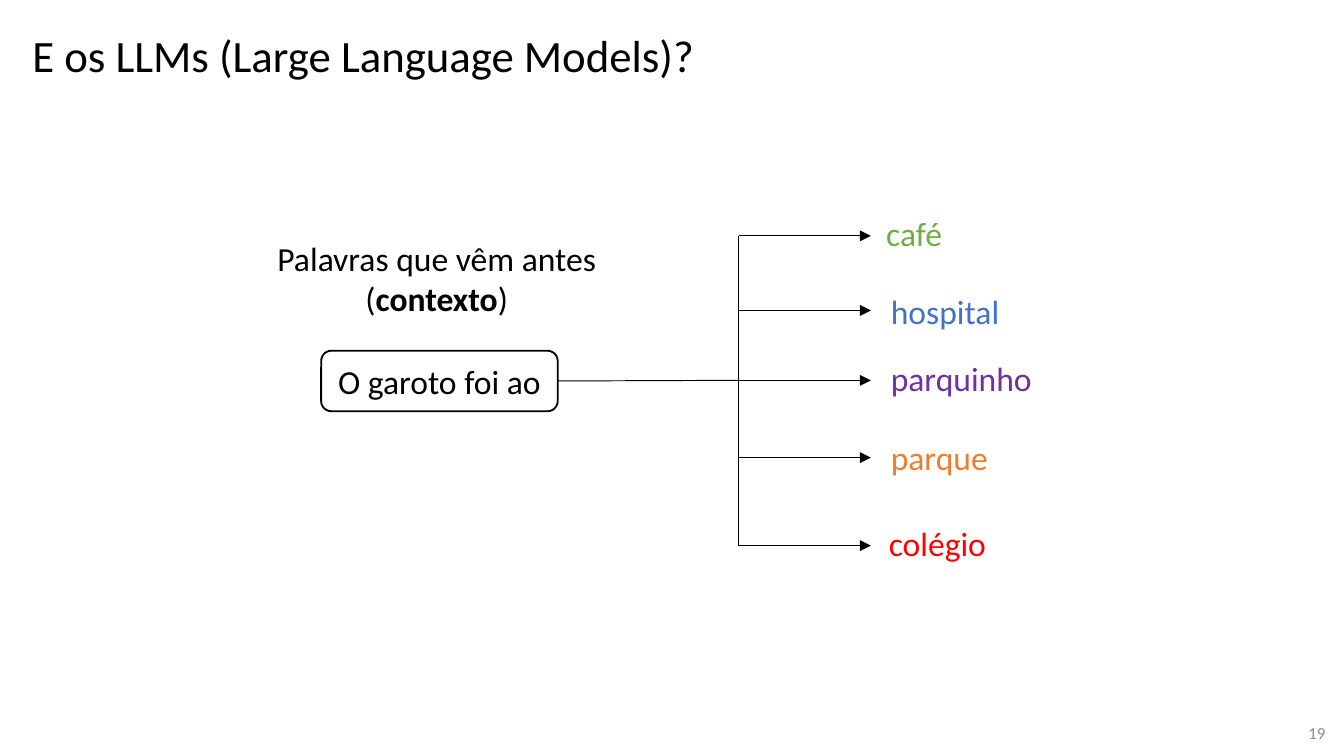
from lxml import etree
from pptx import Presentation
from pptx.dml.color import RGBColor
from pptx.enum.shapes import MSO_CONNECTOR as CONNECTOR, MSO_SHAPE as SHAPE
from pptx.enum.text import MSO_ANCHOR as ANCHOR, PP_ALIGN as ALIGN
from pptx.oxml.ns import qn
from pptx.util import Inches, Pt

BLACK = RGBColor(0x00, 0x00, 0x00)
WHITE = RGBColor(0xFF, 0xFF, 0xFF)
GRAY = RGBColor(0x8C, 0x8C, 0x8C)
GREEN = RGBColor(0x70, 0xAD, 0x47)
BLUE = RGBColor(0x44, 0x72, 0xC4)
PURPLE = RGBColor(0x70, 0x30, 0xA0)
ORANGE = RGBColor(0xED, 0x7D, 0x31)
RED = RGBColor(0xFF, 0x00, 0x00)

presentation = Presentation()
presentation.slide_width = Inches(10)
presentation.slide_height = presentation.slide_width * 9 // 16
slide = presentation.slides.add_slide(presentation.slide_layouts[5])
COLUMN = ROW = presentation.slide_width // 100


def write(shape, text, size=18, color=BLACK, align=ALIGN.LEFT, wrap=False):
    frame = shape.text_frame
    frame.text = text
    frame.word_wrap = wrap
    for paragraph in frame.paragraphs:
        paragraph.alignment = align
        for run in paragraph.runs:
            run.font.name = "Calibri"
            run.font.size = Pt(size)
            run.font.color.rgb = color
    return frame


def draw_line(x1, y1, x2, y2, arrow=False):
    line = slide.shapes.add_connector(
        CONNECTOR.STRAIGHT, int(x1 * COLUMN), int(y1 * ROW), int(x2 * COLUMN), int(y2 * ROW))
    line.line.color.rgb = BLACK
    line.line.width = Pt(0.5)
    properties = line._element.spPr
    if arrow:
        etree.SubElement(properties.find(qn("a:ln")), qn("a:tailEnd"), type="triangle")
    etree.SubElement(properties, qn("a:effectLst"))
    return line


title = slide.shapes.title
title.left, title.top = int(1.4 * COLUMN), int(0.4 * ROW)
title.width, title.height = int(76.5 * COLUMN), int(7.8 * ROW)
title_frame = write(title, "E os LLMs (Large Language Models)?", size=24, wrap=True)
title_frame.vertical_anchor = ANCHOR.MIDDLE
title_frame.paragraphs[0].line_spacing = 0.9

page_number = slide.shapes.add_textbox(
    int(93.6 * COLUMN), 53 * ROW, 6 * COLUMN, int(3.5 * ROW))
number_frame = write(page_number, "19", size=9, color=GRAY, align=ALIGN.RIGHT, wrap=True)
for frame in (title_frame, number_frame):
    frame.margin_left = frame.margin_right = COLUMN
    frame.margin_top = frame.margin_bottom = ROW

prompt = slide.shapes.add_shape(
    SHAPE.ROUNDED_RECTANGLE,
    int(23.9 * COLUMN), int(26.1 * ROW), int(17.6 * COLUMN), int(4.5 * ROW))
prompt.shadow.inherit = False
prompt.fill.solid()
prompt.fill.fore_color.rgb = WHITE
prompt.line.color.rgb = BLACK
prompt.line.width = Pt(1)
write(prompt, "O garoto foi ao", align=ALIGN.CENTER).vertical_anchor = ANCHOR.MIDDLE

TRUNK, ARROW_END = 54.95, 64.8
WORDS = [
    ("café", GREEN, 17.55, 64.95, 15.35, 6.2),
    ("hospital", BLUE, 23.1, 65.3, 21.15, 10.2),
    ("parquinho", PURPLE, 28.3, 65.3, 26.15, 12.6),
    ("parque", ORANGE, 34.05, 65.3, 32, 9.3),
    ("colégio", RED, 40.6, 65.15, 38.4, 9.3),
]
draw_line(TRUNK, WORDS[0][2], TRUNK, WORDS[-1][2])
for word, color, arrow_y, left, top, width in WORDS:
    draw_line(TRUNK, arrow_y, ARROW_END, arrow_y, arrow=True)
    label = slide.shapes.add_textbox(
        int(left * COLUMN), int(top * ROW), int(width * COLUMN), 4 * ROW)
    write(label, word, color=color)

stem = draw_line(41.5, 28.4, TRUNK, 28.3)
stem.begin_connect(prompt, 3)

context = slide.shapes.add_textbox(
    int(19.5 * COLUMN), int(17.2 * ROW), 26 * COLUMN, int(7.1 * ROW))
context_frame = write(context, "Palavras que vêm antes\n(", align=ALIGN.CENTER)
context_line = context_frame.paragraphs[1]
for text, bold in (("contexto", True), (")", False)):
    run = context_line.add_run()
    run.text = text
    run.font.name = "Calibri"
    run.font.size = Pt(18)
    run.font.bold = bold
    run.font.color.rgb = BLACK

presentation.save("out.pptx")
